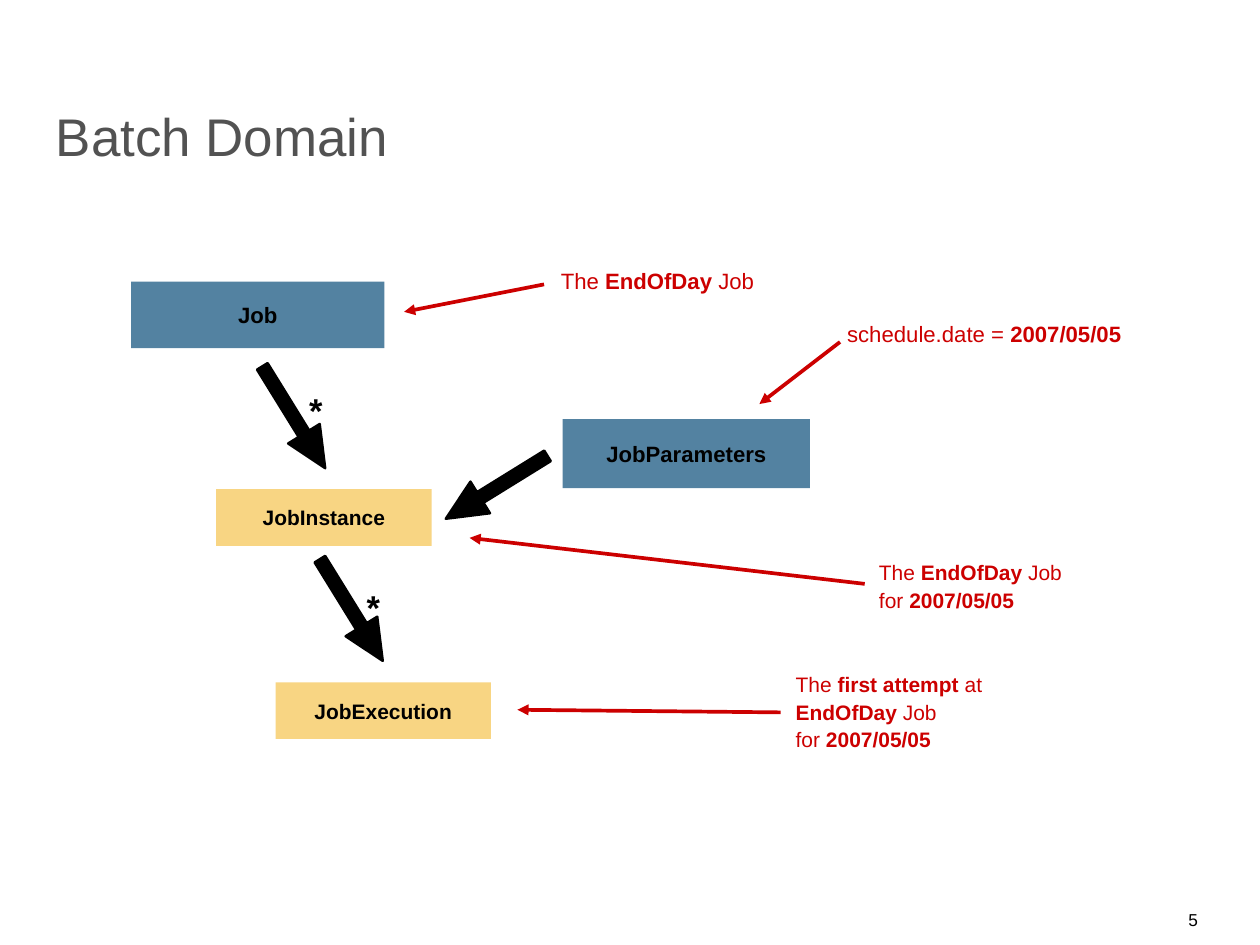
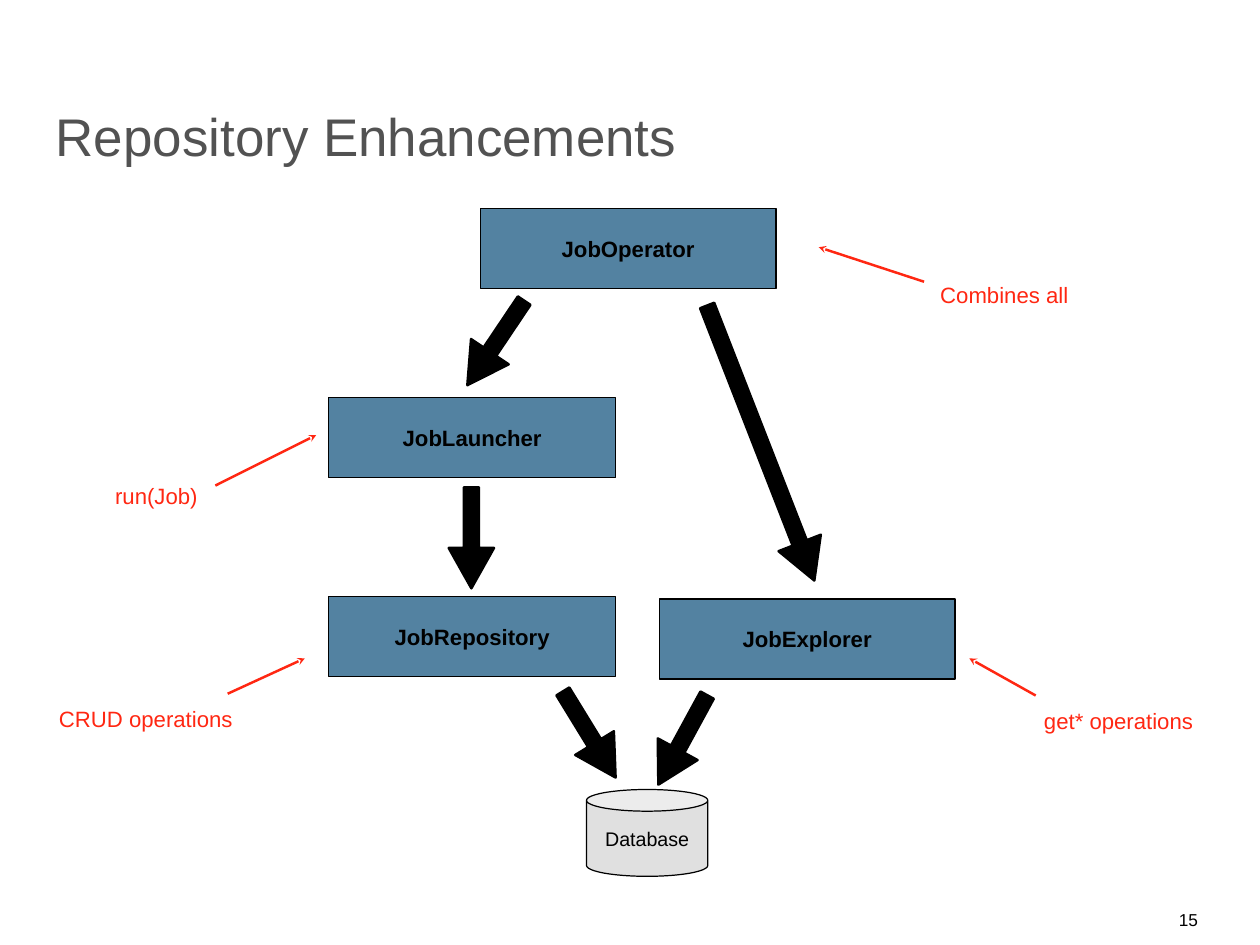
from math import atan2, degrees, hypot

from lxml import etree
from pptx import Presentation
from pptx.dml.color import RGBColor
from pptx.enum.shapes import MSO_CONNECTOR, MSO_SHAPE
from pptx.enum.text import MSO_ANCHOR, MSO_AUTO_SIZE, PP_ALIGN
from pptx.oxml.ns import qn
from pptx.util import Inches, Pt

WIDTH, HEIGHT = 14.22, 10.66
COLS, ROWS = 100, 75
COLORS = {
    "title": "525252", "ink": "000000", "blue": "5382A1", "sand": "F8D583",
    "grey": "E0E0E0", "crimson": "CC0000", "scarlet": "FF2712",
}


def color(name):
    return RGBColor.from_string(COLORS[name])


def col(n):
    return Inches(n * WIDTH / COLS)


def row(n):
    return Inches(n * HEIGHT / ROWS)


def area(x, y, w, h):
    return col(x), row(y), col(w), row(h)


class Deck:
    """Holds the style and the current slide; lengths are grid columns and rows."""

    font = "Arial"
    title_area = (4.43, 0, 91.21, 13.23)
    number_area = (87.08, 71.8, 8, 2.4)

    def __init__(self):
        self.prs = Presentation()
        self.prs.slide_width, self.prs.slide_height = Inches(WIDTH), Inches(HEIGHT)
        self.s = None

    def slide(self, title, number):
        self.s = self.prs.slides.add_slide(self.prs.slide_layouts[5])
        sp = self.s.shapes.title
        sp.left, sp.top, sp.width, sp.height = area(*self.title_area)
        self.set_text(sp, title, 43, "title", anchor=MSO_ANCHOR.BOTTOM)
        self.text(str(number), self.number_area, 14, "ink", align=PP_ALIGN.RIGHT)

    def set_text(self, sp, text, size, ink, bold=False, align=PP_ALIGN.LEFT,
                 anchor=MSO_ANCHOR.MIDDLE, spacing=1.0):
        """Fill a shape with text; ** switches bold on and off."""
        tf = sp.text_frame
        frame = {"word_wrap": True, "auto_size": MSO_AUTO_SIZE.NONE,
                 "vertical_anchor": anchor, "margin_left": 0, "margin_right": 0,
                 "margin_top": 0, "margin_bottom": 0}
        for name, value in frame.items():
            setattr(tf, name, value)
        for i, line in enumerate(text.split("\n")):
            p = tf.paragraphs[0] if i == 0 else tf.add_paragraph()
            p.alignment, p.line_spacing = align, spacing
            for j, part in enumerate(line.split("**")):
                if not part:
                    continue
                r = p.add_run()
                r.text = part
                style = {"name": self.font, "size": Pt(size), "bold": bold or j % 2 == 1}
                for name, value in style.items():
                    setattr(r.font, name, value)
                r.font.color.rgb = color(ink)

    def text(self, text, place, size, ink, **style):
        self.set_text(self.s.shapes.add_textbox(*area(*place)), text, size, ink, **style)

    def shape(self, kind, place, fill, line=None, line_width=1):
        sp = self.s.shapes.add_shape(kind, *area(*place))
        sp.shadow.inherit = False
        sp.fill.solid()
        sp.fill.fore_color.rgb = color(fill)
        if line:
            sp.line.color.rgb = color(line)
            sp.line.width = Pt(line_width)
        else:
            sp.line.fill.background()
        return sp

    def box(self, text, place, fill="blue", line=None, size=18):
        sp = self.shape(MSO_SHAPE.RECTANGLE, place, fill, line)
        self.set_text(sp, text, size, "ink", bold=True, align=PP_ALIGN.CENTER)

    def database(self, text, place):
        sp = self.shape(MSO_SHAPE.CAN, place, "grey", "ink")
        sp.adjustments[0] = 0.25
        self.set_text(sp, text, 16, "ink", align=PP_ALIGN.CENTER)

    def block_arrow(self, start, tip, thickness, head):
        (x1, y1), (x2, y2) = start, tip
        length = hypot(x2 - x1, y2 - y1)
        place = ((x1 + x2 - length) / 2, (y1 + y2 - thickness) / 2, length, thickness)
        sp = self.shape(MSO_SHAPE.RIGHT_ARROW, place, "ink", "ink", 2)
        sp.adjustments[0], sp.adjustments[1] = 0.335, head
        sp.rotation = degrees(atan2(y2 - y1, x2 - x1))

    def pointer(self, start, tip, ink, width, head):
        """Thin line from a remark to the thing it explains."""
        (x1, y1), (x2, y2) = start, tip
        line = self.s.shapes.add_connector(
            MSO_CONNECTOR.STRAIGHT, col(x1), row(y1), col(x2), row(y2))
        line.line.color.rgb = color(ink)
        line.line.width = Pt(width)
        props = line._element.spPr
        etree.SubElement(props.find(qn("a:ln")), qn("a:tailEnd"), type=head)
        etree.SubElement(props, qn("a:effectLst"))


def batch_domain(deck):
    deck.slide("Batch Domain", 5)
    deck.box("Job", (10.41, 22.36, 20.11, 5.27))
    deck.box("JobParameters", (44.66, 33.26, 19.62, 5.49))
    for name, x, y in (("JobInstance", 17.16, 38.82), ("JobExecution", 21.87, 54.15)):
        deck.box(name, (x, y, 17.09, 4.5), "sand", size=17)

    for start, tip in (
        ((20.82, 29.08), (25.81, 37.16)),
        ((25.39, 44.38), (30.38, 52.45)),
        ((43.45, 36.18), (35.38, 41.17)),
    ):
        deck.block_arrow(start, tip, 2.95, 1.09)
    for x, y in ((24.54, 30.87), (29.11, 46.48)):
        deck.text("*", (x, y, 2, 3.2), 28, "ink", bold=True, anchor=MSO_ANCHOR.TOP)

    for text, place, size, spacing, start, tip in (
        ("The **EndOfDay** Job", (44.51, 20.89, 18, 2.74), 18, 1.0,
         (43.18, 22.57), (32.07, 24.75)),
        ("schedule.date =** 2007/05/05**", (67.23, 25.46, 24, 2.11), 18, 1.0,
         (66.67, 27.14), (60.27, 32.07)),
        ("The **EndOfDay** Job\nfor **2007/05/05**", (69.76, 44.23, 18, 4.36), 17, 1.1,
         (68.63, 46.34), (37.27, 42.69)),
        ("The **first attempt **at\n**EndOfDay** Job\nfor **2007/05/05**",
         (63.15, 53.1, 18, 6.61), 17, 1.1, (61.95, 56.54), (41.07, 56.33)),
    ):
        deck.text(text, place, size, "crimson", spacing=spacing)
        deck.pointer(start, tip, "crimson", 3, "triangle")


def repository_enhancements(deck):
    deck.slide("Repository Enhancements", 15)
    for name, x, y, w in (
        ("JobOperator", 38.11, 16.53, 23.49),
        ("JobLauncher", 26.09, 31.57, 22.78),
        ("JobRepository", 26.09, 47.33, 22.78),
        ("JobExplorer", 52.32, 47.54, 23.49),
    ):
        deck.box(name, (x, y, w, 6.36), line="ink")

    for start, tip in (
        ((41.6, 23.86), (37.09, 30.57)),
        ((56.12, 24.25), (64.63, 46.07)),
        ((37.41, 38.68), (37.41, 46.69)),
        ((44.67, 54.88), (48.86, 61.71)),
        ((56.12, 55.17), (52.25, 62.27)),
    ):
        deck.block_arrow(start, tip, 3.6, 0.89)

    for text, x, y, start, tip in (
        ("Combines all", 70.7, 21.55, (73.34, 22.36), (64.98, 19.62)),
        ("run(Job)", 3.41, 37.58, (17.09, 38.54), (25.1, 34.53)),
        ("CRUD operations", 2.57, 55.24, (18.07, 55.06), (24.19, 52.25)),
        ("get* operations", 79.77, 55.37, (82.2, 55.2), (76.93, 52.25)),
    ):
        deck.text(text, (x, y, 18, 2.85), 18, "scarlet",
                  align=PP_ALIGN.CENTER, anchor=MSO_ANCHOR.BOTTOM)
        deck.pointer(start, tip, "scarlet", 2, "stealth")
    deck.database("Database", (46.55, 62.66, 9.63, 6.89))


def main():
    deck = Deck()
    batch_domain(deck)
    repository_enhancements(deck)
    deck.prs.save("out.pptx")


if __name__ == "__main__":
    main()
